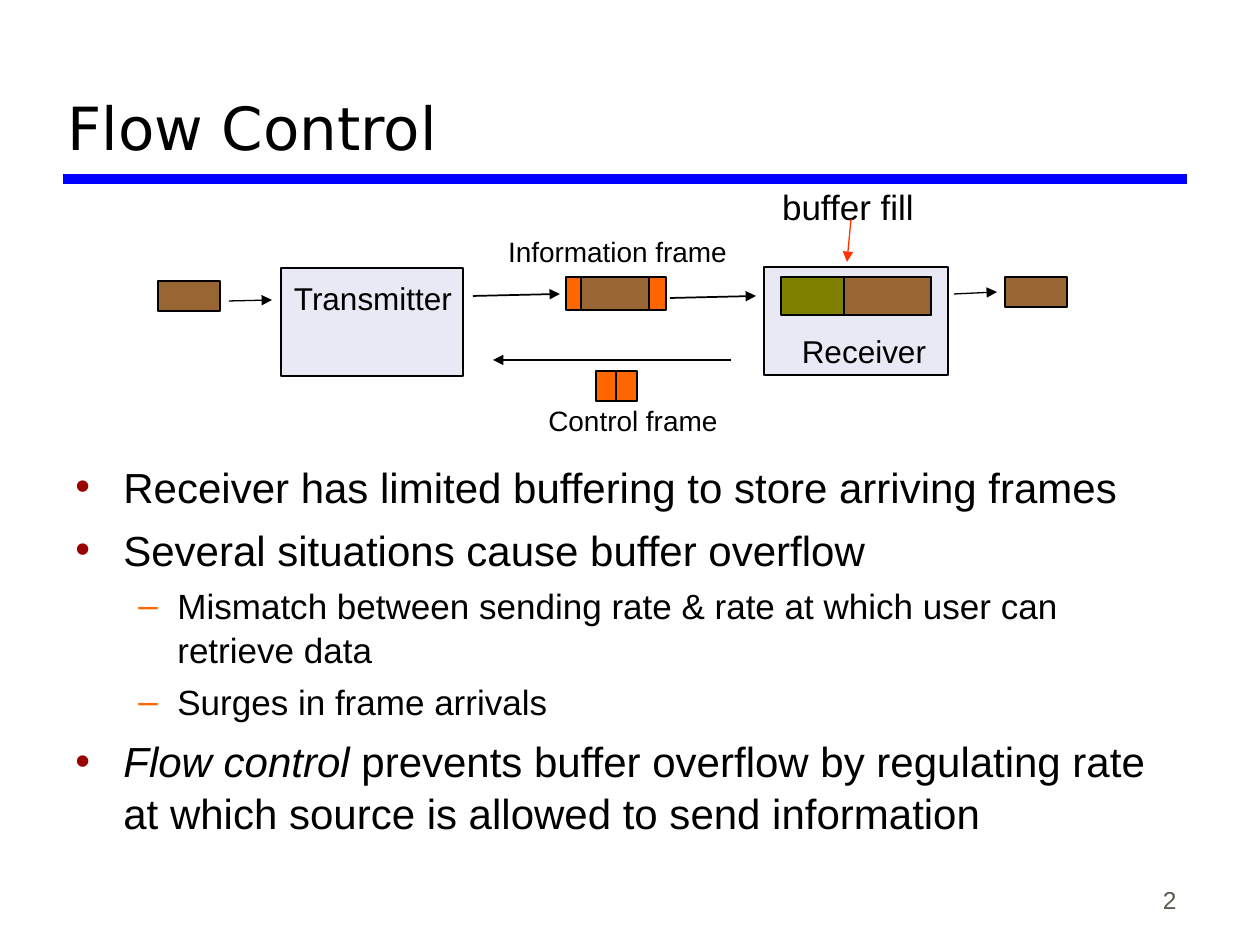
import lxml.etree
import pptx
import pptx.dml.color
import pptx.enum.shapes
import pptx.enum.text
import pptx.oxml.ns
import pptx.util

PX = 914400 // 126
BLACK, BROWN, ORANGE, OLIVE, LAVENDER = "000000", "996633", "FF6600", "808000", "E9E9F5"
ALIGN = pptx.enum.text.PP_ALIGN
ANCHOR = pptx.enum.text.MSO_ANCHOR


def px(*lengths):
    return [pptx.util.Emu(round(n * 914400 / 126)) for n in lengths]


def rgb(color):
    return pptx.dml.color.RGBColor.from_string(color)


def sub(parent, tag, **attrs):
    """Append a DrawingML element to parent."""
    return lxml.etree.SubElement(parent, pptx.oxml.ns.qn(tag), **attrs)


class Deck:
    font = "Arial"

    def __init__(self):
        self.prs = pptx.Presentation()
        self.prs.slide_width, self.prs.slide_height = px(1260, 945)
        self.s = self.prs.slides.add_slide(self.prs.slide_layouts[6])

    def rect(self, x, y, w, h, fill, width=1):
        sp = self.s.shapes.add_shape(
            pptx.enum.shapes.MSO_SHAPE.RECTANGLE, *px(x, y, w, h))
        sp.shadow.inherit = False
        sp.fill.solid()
        sp.fill.fore_color.rgb = rgb(fill)
        sp.line.color.rgb = rgb(BLACK)
        sp.line.width = pptx.util.Pt(width)

    def line(self, x1, y1, x2, y2, color=BLACK, width=1, arrow=True):
        c = self.s.shapes.add_connector(
            pptx.enum.shapes.MSO_CONNECTOR.STRAIGHT, *px(x1, y1, x2, y2))
        c.line.color.rgb = rgb(color)
        c.line.width = pptx.util.Pt(width)
        if arrow:
            sub(c.line._get_or_add_ln(), "a:tailEnd", type="triangle")
        sub(c._element.spPr, "a:effectLst")

    def box(self, x, y, w, h, anchor=ANCHOR.TOP, wrap=True):
        tf = self.s.shapes.add_textbox(*px(x, y, w, h)).text_frame
        tf.word_wrap = wrap
        tf.vertical_anchor = anchor
        return tf

    def run(self, p, text, size, color=BLACK, font=None, italic=False):
        r = p.add_run()
        r.text = text
        r.font.size = pptx.util.Pt(size)
        r.font.name = font or self.font
        r.font.color.rgb = rgb(color)
        r.font.italic = italic

    def text(self, x, y, w, h, text, size, align=ALIGN.CENTER,
             anchor=ANCHOR.TOP, wrap=True, **style):
        p = self.box(x, y, w, h, anchor, wrap).paragraphs[0]
        p.alignment = align
        self.run(p, text, size, **style)

    def bullets(self, x, y, w, h, items):
        """Fill a box with (level, [(text, italic), ...]) items."""
        levels = [(24, 6, 48, 48, "•", "990000"), (20, 5, 102, 39, "–", ORANGE)]
        tf = self.box(x, y, w, h)
        for i, (level, runs) in enumerate(items):
            size, before, margin, hang, mark, color = levels[level]
            p = tf.paragraphs[0] if i == 0 else tf.add_paragraph()
            p.level = level
            p.line_spacing = 1.04
            p.space_before = pptx.util.Pt(before if i else 0)
            pPr = p._p.get_or_add_pPr()
            pPr.set("marL", str(px(margin)[0]))
            pPr.set("indent", str(px(-hang)[0]))
            sub(sub(pPr, "a:buClr"), "a:srgbClr", val=color)
            sub(pPr, "a:buFont", typeface=self.font)
            sub(pPr, "a:buChar", char=mark)
            for text, italic in runs:
                self.run(p, text, size, italic=italic)


def main():
    d = Deck()
    d.line(63, 179, 1187, 179, "0000FF", 6, arrow=False)
    d.text(55, 21, 1130, 148, "Flow Control", 34, ALIGN.LEFT, ANCHOR.BOTTOM,
           font="DejaVu Sans")
    d.text(927, 858, 262, 63, "2", 14, ALIGN.RIGHT, ANCHOR.BOTTOM, color="5E574E")

    # Stations
    d.rect(281, 268, 182, 108, LAVENDER)
    d.rect(764, 267, 184, 108, LAVENDER)
    d.text(281, 273, 184, 50, "Transmitter", 18, wrap=False)
    d.text(789, 326, 150, 50, "Receiver", 18, wrap=False)

    # Information frame with header and trailer
    d.rect(566, 277, 100, 33, ORANGE)
    d.rect(581, 277, 68, 33, BROWN)
    d.text(470, 228, 295, 45, "Information frame", 16)

    # Control frame
    for x in (596, 616):
        d.rect(x, 371, 21, 30, ORANGE)
    d.text(500, 397, 266, 45, "Control frame", 16)

    # Receiver buffer
    d.rect(781, 277, 150, 38, OLIVE, 0.75)
    d.rect(844, 277, 87, 38, BROWN, 0.75)
    d.text(769, 179, 158, 55, "buffer fill", 20, wrap=False)
    d.line(851, 219, 847, 262, "FF3300", 0.75)

    # User data entering and leaving
    for x, y in ((158, 281), (1005, 277)):
        d.rect(x, y, 62, 30, BROWN, 0.75)
    d.line(229, 301, 272, 300, width=0.75)
    d.line(954, 294, 997, 292, width=0.75)

    # Frames in transit
    d.line(473, 296, 560, 294)
    d.line(670, 298, 756, 296)
    d.line(731, 360, 493, 360)

    d.bullets(63, 453, 1134, 476, [
        (0, [("Receiver has limited buffering to store arriving frames", False)]),
        (0, [("Several situations cause buffer overflow", False)]),
        (1, [("Mismatch between sending rate & rate at which user can "
              "retrieve data", False)]),
        (1, [("Surges in frame arrivals", False)]),
        (0, [("Flow control", True),
             (" prevents buffer overflow by regulating rate at which source "
              "is allowed to send information", False)]),
    ])
    d.prs.save("out.pptx")


if __name__ == "__main__":
    main()
